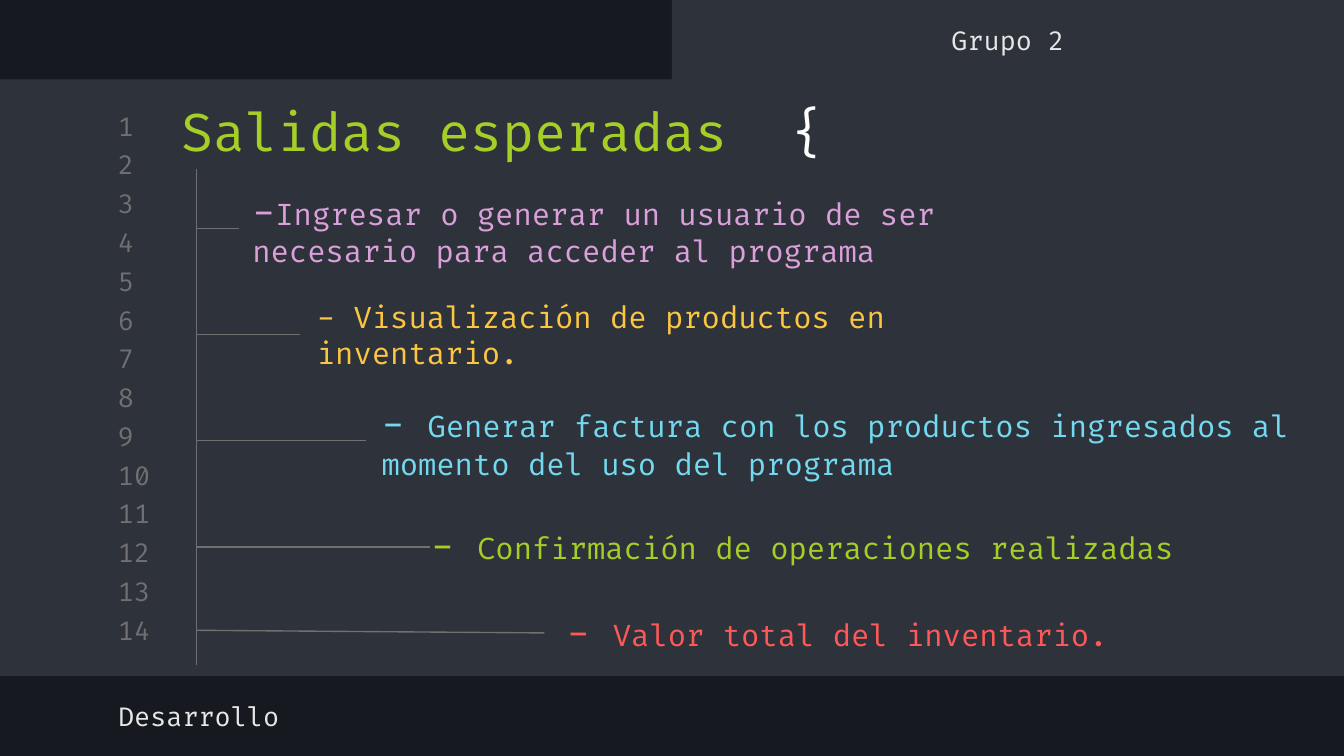
import pptx
import pptx.dml.color
import pptx.enum.shapes
import pptx.enum.text
import pptx.oxml
import pptx.util

THEME = {
    "font": "Fira Code",
    "background": "16191F", "panel": "2E323B", "muted": "707070",
    "light": "E7E7E7", "white": "FFFFFF", "green": "A5CF27",
    "violet": "DBA0DB", "yellow": "FCC642", "cyan": "72D9F0", "red": "FF5858",
    "title": 28, "dash": 20, "item": 16, "small": 14,
}
ANCHOR = pptx.enum.text.MSO_ANCHOR
ALIGN = pptx.enum.text.PP_ALIGN

deck = pptx.Presentation()
deck.slide_width = pptx.util.Inches(10)
deck.slide_height = pptx.util.Inches(5.625)
slide = deck.slides.add_slide(deck.slide_layouts[6])

# The grid has 100 columns and 100 rows.
COLUMN = deck.slide_width // 100
ROW = deck.slide_height // 100


def color(name):
    return pptx.dml.color.RGBColor.from_string(THEME[name])


def add_text(left, top, width, height, pieces, anchor=ANCHOR.MIDDLE, align=ALIGN.LEFT):
    """Add one paragraph made of (text, size, color) pieces, placed on the grid."""
    box = slide.shapes.add_textbox(round(left * COLUMN), round(top * ROW),
                                   round(width * COLUMN), round(height * ROW))
    frame = box.text_frame
    frame.word_wrap = True
    frame.vertical_anchor = anchor
    frame.margin_left = frame.margin_right = COLUMN
    frame.margin_top = frame.margin_bottom = COLUMN
    paragraph = frame.paragraphs[0]
    paragraph.alignment = align
    for text, size, tone in pieces:
        run = paragraph.add_run()
        run.text = text
        run.font.name = THEME["font"]
        run.font.size = pptx.util.Pt(THEME[size])
        run.font.color.rgb = color(tone)
    return box


# Editor window: dark background, main panel and active tab
slide.background.fill.solid()
slide.background.fill.fore_color.rgb = color("background")
for left, top, width, height in [(0, 10.5, 100, 78.9), (50, 0, 50, 11.56)]:
    panel = slide.shapes.add_shape(
        pptx.enum.shapes.MSO_SHAPE.RECTANGLE, round(left * COLUMN), round(top * ROW),
        round(width * COLUMN), round(height * ROW))
    panel.shadow.inherit = False
    panel.fill.solid()
    panel.fill.fore_color.rgb = color("panel")
    panel.line.fill.background()

# Line numbers
for index in range(14):
    add_text(7.8, 14.5 + 5.13 * index, 4.7, 4.27, [(str(index + 1), "small", "muted")])

# Headings
add_text(12.5, 11.38, 79.7, 10.5,
         [("Salidas esperadas  ", "title", "green"), ("{", "title", "white")],
         anchor=ANCHOR.TOP)
add_text(7.8, 91.2, 53.2, 6.93, [("Desarrollo", "small", "light")])
add_text(50, 1.78, 50, 6.93, [("Grupo 2", "small", "light")], align=ALIGN.CENTER)

# Expected outputs: left, middle row, width, color, dash, dash size, text,
# then the column where the branch ends and the rows where it starts and ends
outputs = [
    (17.8, 30.22, 65.3, "violet", "-", "dash",
     "Ingresar o generar un usuario de ser necesario para acceder al programa",
     17.8, 30.22, 30.22),
    (22.6, 44.27, 56.9, "yellow", "- ", "item",
     "Visualización de productos en inventario.", 22.3, 44.27, 44.27),
    (27.4, 58.31, 75.9, "cyan", "- ", "dash",
     "Generar factura con los productos ingresados al momento del uso del programa",
     27.2, 58.31, 58.31),
    (31.1, 72, 80.7, "green", "- ", "dash",
     "Confirmación de operaciones realizadas", 32, 72.36, 72.36),
    (41.2, 83.56, 44.4, "red", "- ", "dash",
     "Valor total del inventario.", 40.5, 83.38, 83.73),
]
TRUNK = 14.6
ITEM_HEIGHT = 11.38
tree_lines = [(TRUNK, 22.4, 88, None)]
for left, middle, width, tone, dash, dash_size, text, end, start_row, end_row in outputs:
    output = add_text(left, middle - ITEM_HEIGHT / 2, width, ITEM_HEIGHT,
                      [(dash, dash_size, tone), (text, "item", tone)])
    touches = (end, end_row) == (left, middle)
    tree_lines.append((end, start_row, end_row, output if touches else None))

# Tree: the trunk and one branch for each output
for end, start_row, end_row, output in tree_lines:
    branch = slide.shapes.add_connector(
        pptx.enum.shapes.MSO_CONNECTOR.STRAIGHT, round(TRUNK * COLUMN),
        round(start_row * ROW), round(end * COLUMN), round(end_row * ROW))
    branch.line.color.rgb = color("muted")
    branch.line.width = pptx.util.Pt(0.75)
    branch._element.spPr.append(pptx.oxml.parse_xml(
        '<a:effectLst xmlns:a="http://schemas.openxmlformats.org/drawingml/2006/main"/>'))
    if output is not None:
        branch.end_connect(output, 1)

deck.save("out.pptx")
